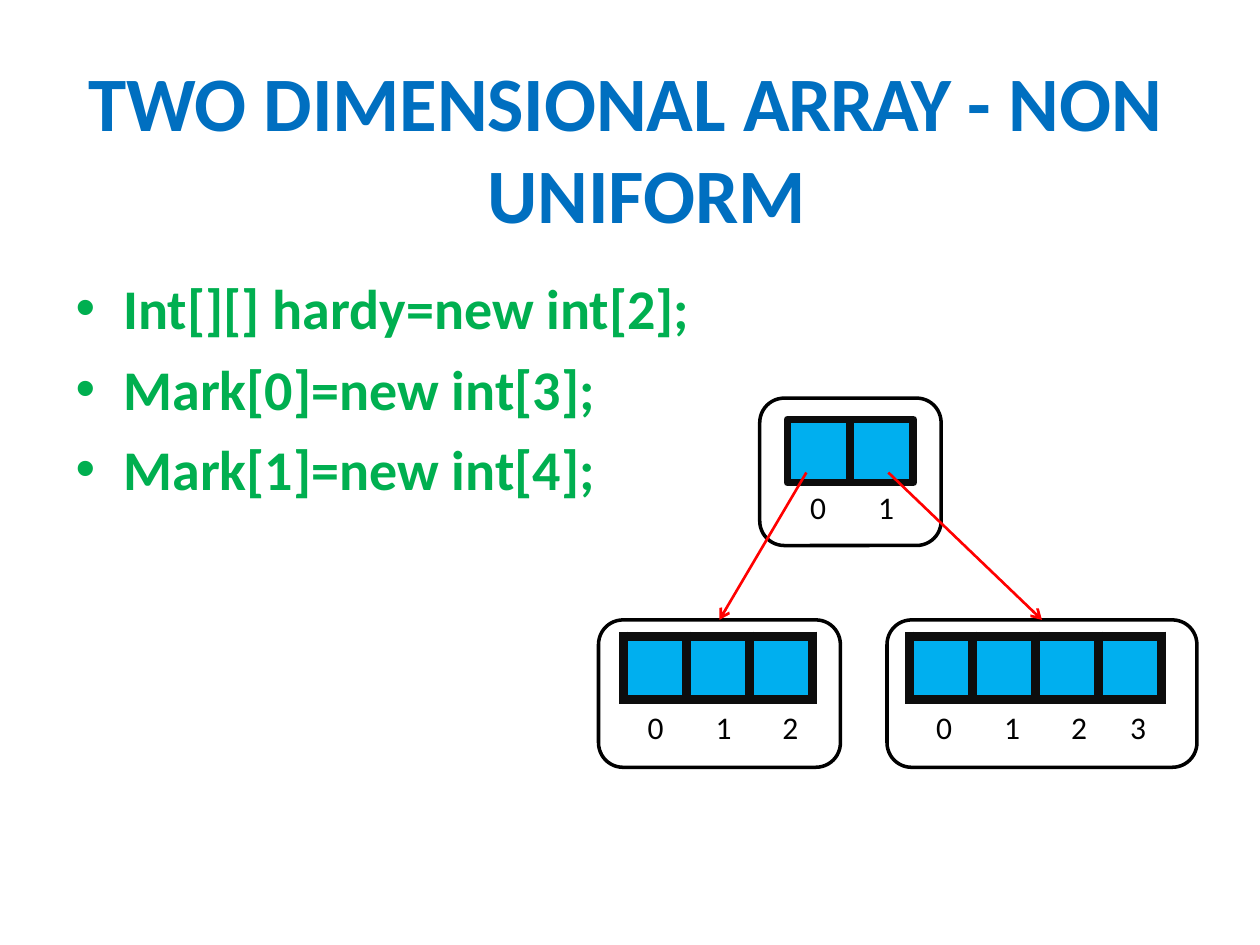
from dataclasses import dataclass

from lxml import etree
from pptx import Presentation
from pptx.dml.color import RGBColor
from pptx.enum import shapes, text
from pptx.oxml import ns, xmlchemy
from pptx.util import Inches, Pt


@dataclass(frozen=True)
class Theme:
    font: str = "Calibri"
    title: RGBColor = RGBColor(0x00, 0x6F, 0xC0)
    code: RGBColor = RGBColor(0x00, 0xAF, 0x50)
    cell: RGBColor = RGBColor(0x00, 0xAF, 0xEF)
    border: RGBColor = RGBColor(0x0D, 0x0D, 0x0D)
    arrow: RGBColor = RGBColor(0xFF, 0x00, 0x00)
    black: RGBColor = RGBColor(0x00, 0x00, 0x00)
    title_size: int = 44
    code_size: int = 32
    label_size: int = 18


theme = Theme()
CELL = 0.5
TAB_STOPS = (0.54, 1.07, 1.54)


def prepare_frame(shape, left, top, width, height, inset):
    """Place a text shape, set its top inset and return its text frame."""
    shape.left, shape.top = Inches(left), Inches(top)
    shape.width, shape.height = Inches(width), Inches(height)
    frame = shape.text_frame
    frame.word_wrap = True
    frame.auto_size = text.MSO_AUTO_SIZE.NONE
    frame.vertical_anchor = text.MSO_ANCHOR.TOP
    frame.margin_left = frame.margin_right = frame.margin_bottom = 0
    frame.margin_top = Inches(inset)
    return frame


def add_run(paragraph, wording, size, color, bold=False):
    run = paragraph.add_run()
    run.text = wording
    run.font.name, run.font.size = theme.font, Pt(size)
    run.font.bold = bold
    run.font.color.rgb = color
    return run


presentation = Presentation()
presentation.slide_width, presentation.slide_height = Inches(10), Inches(7.5)
slide = presentation.slides.add_slide(presentation.slide_layouts[1])

# Title with a hanging indent
title = prepare_frame(slide.shapes.title, 0.68, 0.4, 8.63, 1.5, 0.03)
paragraph = title.paragraphs[0]
paragraph.alignment = text.PP_ALIGN.LEFT
properties = paragraph._p.get_or_add_pPr()
properties.set("marL", str(Inches(3.19)))
properties.set("indent", str(Inches(-3.17)))
for wording, spacing in (("TWO DIMENSIONAL ", -10), ("ARRAY ", -80),
                         ("- NON ", 0), ("UNIFORM", -10)):
    run = add_run(paragraph, wording, theme.title_size, theme.title, True)
    run.font._element.set("spc", str(spacing))

# Code lines
body = prepare_frame(slide.placeholders[1], 0.59, 2.03, 4.9, 1.95, 0.14)
code_lines = ("Int[][] hardy=new int[2];", "Mark[0]=new int[3];", "Mark[1]=new int[4];")
for index, line in enumerate(code_lines):
    paragraph = body.paragraphs[0] if index == 0 else body.add_paragraph()
    properties = paragraph._p.get_or_add_pPr()
    properties.set("marL", str(Inches(0.39)))
    properties.set("indent", str(Inches(-0.38)))
    etree.SubElement(properties, ns.qn("a:buChar"), char="•")
    paragraph.space_before = Pt(7.7 if index else 0)
    add_run(paragraph, line, theme.code_size, theme.code, True)

# Rounded frames around the three arrays
frames = []
for left, top, width in ((6.03, 3.16, 1.44), (4.75, 4.92, 1.92), (7.04, 4.92, 2.46)):
    frame = slide.shapes.add_shape(
        shapes.MSO_SHAPE.ROUNDED_RECTANGLE,
        Inches(left), Inches(top), Inches(width), Inches(1.17))
    frame.shadow.inherit = False
    frame.fill.background()
    frame.line.color.rgb, frame.line.width = theme.black, Pt(2)
    frames.append(frame)
outer_frame, *row_frames = frames

# Outer array
for index in range(2):
    square = slide.shapes.add_shape(
        shapes.MSO_SHAPE.RECTANGLE,
        Inches(6.25 + index * CELL), Inches(3.33), Inches(CELL), Inches(CELL))
    square.shadow.inherit = False
    square.fill.solid()
    square.fill.fore_color.rgb = theme.cell
    square.line.color.rgb, square.line.width = theme.border, Pt(4.5)

# Inner arrays
for left, count in ((4.95, 3), (7.22, 4)):
    table = slide.shapes.add_table(
        1, count, Inches(left), Inches(5.05), Inches(count * CELL), Inches(CELL)).table
    table.first_row = table.horz_banding = False
    for cell in table.iter_cells():
        cell.fill.solid()
        cell.fill.fore_color.rgb = theme.cell
        cell_properties = cell._tc.get_or_add_tcPr()
        for position, side in enumerate(("lnL", "lnR", "lnT", "lnB")):
            border = etree.Element(ns.qn(f"a:{side}"), w=str(Pt(6)))
            fill = etree.SubElement(border, ns.qn("a:solidFill"))
            etree.SubElement(fill, ns.qn("a:srgbClr"), val=str(theme.border))
            cell_properties.insert(position, border)

# Index labels, spread by tab stops
for left, top, width, count in ((6.42, 3.85, 0.68, 2), (5.13, 5.6, 1.21, 3),
                                (7.42, 5.6, 1.68, 4)):
    label = slide.shapes.add_textbox(0, 0, 0, 0)
    paragraph = prepare_frame(label, left, top, width, 0.33, 0.02).paragraphs[0]
    properties = paragraph._p.get_or_add_pPr()
    properties.set("marL", str(Inches(0.01)))
    tabs = etree.SubElement(properties, ns.qn("a:tabLst"))
    for stop in TAB_STOPS[:count - 1]:
        etree.SubElement(tabs, ns.qn("a:tab"), pos=str(Inches(stop)), algn="l")
    add_run(paragraph, "\t".join(map(str, range(count))), theme.label_size, theme.black)

# Arrows from the outer cells to the inner arrays
for start, target in zip((6.4, 7.05), row_frames):
    arrow = slide.shapes.add_connector(
        shapes.MSO_CONNECTOR.STRAIGHT, Inches(start), Inches(3.75),
        target.left + target.width // 2, target.top)
    arrow.end_connect(target, 0)
    arrow.line.color.rgb, arrow.line.width = theme.arrow, Pt(1.5)
    etree.SubElement(arrow.line._get_or_add_ln(), ns.qn("a:tailEnd"), type="arrow")
    etree.SubElement(arrow._element.spPr, ns.qn("a:effectLst"))

presentation.save("out.pptx")
